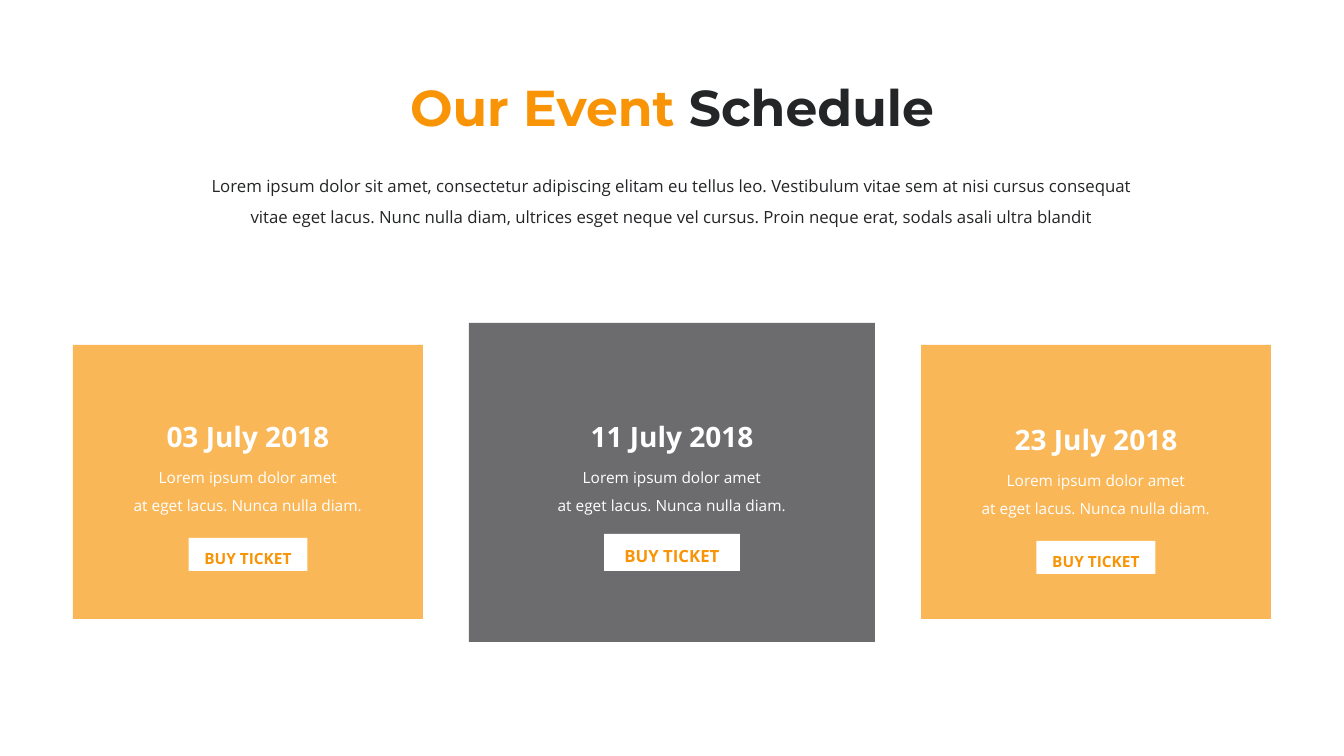
from dataclasses import dataclass

from lxml.etree import SubElement
from pptx import Presentation
from pptx.dml.color import RGBColor
from pptx.enum.shapes import MSO_SHAPE
from pptx.enum.text import MSO_ANCHOR, MSO_AUTO_SIZE, PP_ALIGN
from pptx.oxml.ns import qn
from pptx.util import Emu, Pt

EMU_PER_PIXEL = 914400 / 100.8


@dataclass(frozen=True)
class Theme:
    orange: str = "F89406"
    dark: str = "242527"
    white: str = "FFFFFF"
    heading_font: str = "Montserrat"
    text_font: str = "Open Sans"
    title_size: int = 36
    date_size: int = 20
    intro_size: int = 12
    detail_size: int = 11
    panel_opacity: int = 67


@dataclass(frozen=True)
class Event:
    date: str
    center: int
    panel_top: int
    panel_size: tuple
    panel_color: str
    date_top: int
    button_top: int
    button_size: tuple
    button_text_size: int


THEME = Theme()
DETAILS = ["Lorem ipsum dolor amet", "at eget lacus. Nunca nulla diam."]
INTRO = (
    "Lorem ipsum dolor sit amet, consectetur adipiscing elitam eu tellus leo. "
    "Vestibulum vitae sem at nisi cursus consequat vitae eget lacus. "
    "Nunc nulla diam, ultrices esget neque vel cursus. "
    "Proin neque erat, sodals asali ultra blandit"
)
EVENTS = [
    Event("03 July 2018", 248, 345, (350, 274), THEME.orange, 398, 538, (119, 33), 11),
    Event("11 July 2018", 672, 323, (406, 319), THEME.dark, 398, 534, (136, 37), 12),
    Event("23 July 2018", 1096, 345, (350, 274), THEME.orange, 401, 541, (119, 33), 11),
]


def px(value):
    return Emu(round(value * EMU_PER_PIXEL))


def centered(center, top, width, height):
    return [px(value) for value in (center - width / 2, top, width, height)]


def move(shape, frame):
    shape.left, shape.top, shape.width, shape.height = frame


def write(box, lines, size, color, font=THEME.text_font, bold=False, spacing=1.5):
    frame = box.text_frame
    frame.word_wrap = True
    frame.auto_size = MSO_AUTO_SIZE.NONE
    frame.vertical_anchor = MSO_ANCHOR.TOP
    for index, line in enumerate(lines):
        para = frame.paragraphs[0] if index == 0 else frame.add_paragraph()
        para.alignment = PP_ALIGN.CENTER
        para.line_spacing = spacing
        para.space_before = Pt(0)
        parts = [(line, color)] if isinstance(line, str) else line
        for text, part_color in parts:
            span = para.add_run()
            span.text = text
            span.font.name = font
            span.font.size = Pt(size)
            span.font.bold = bold
            span.font.color.rgb = RGBColor.from_string(part_color)


def add_text(shapes, frame, lines, size, color, **text_format):
    box = shapes.add_textbox(*frame)
    write(box, lines, size, color, **text_format)


def add_rectangle(shapes, frame, color, opacity=100):
    shape = shapes.add_shape(MSO_SHAPE.RECTANGLE, *frame)
    shape.shadow.inherit = False
    shape.line.fill.background()
    shape.fill.solid()
    shape.fill.fore_color.rgb = RGBColor.from_string(color)
    if opacity < 100:
        color_node = shape.fill._xPr.find(qn("a:solidFill"))[0]
        SubElement(color_node, qn("a:alpha")).set("val", str(opacity * 1000))


def remove_bullets(box):
    for para in box.text_frame.paragraphs:
        properties = para._p.get_or_add_pPr()
        properties.set("marL", "0")
        properties.set("indent", "0")
        SubElement(properties, qn("a:buNone"))


def add_heading(slide):
    title = slide.shapes.title
    move(title, centered(672, 71, 560, 72))
    parts = [("Our Event", THEME.orange), (" Schedule", THEME.dark)]
    write(title, [parts], THEME.title_size, THEME.dark,
          font=THEME.heading_font, bold=True, spacing=1.0)
    intro = slide.placeholders[1]
    move(intro, centered(672, 161, 966, 72))
    write(intro, [INTRO], THEME.intro_size, THEME.dark)
    remove_bullets(intro)


def add_event(slide, event):
    add_rectangle(slide.shapes, centered(event.center, event.panel_top, *event.panel_size),
                  event.panel_color, THEME.panel_opacity)
    shapes = slide.shapes.add_group_shape().shapes
    add_text(shapes, centered(event.center, event.date_top, 290, 58),
             [event.date], THEME.date_size, THEME.white, bold=True)
    add_text(shapes, centered(event.center, event.date_top + 56, 264, 68),
             DETAILS, THEME.detail_size, THEME.white)
    add_rectangle(shapes, centered(event.center, event.button_top, *event.button_size),
                  THEME.white)
    add_text(shapes, centered(event.center, event.button_top - 3, event.button_size[0], 38),
             ["BUY TICKET"], event.button_text_size, THEME.orange, bold=True)


def main():
    deck = Presentation()
    deck.slide_width, deck.slide_height = px(1344), px(756)
    slide = deck.slides.add_slide(deck.slide_layouts[1])
    add_heading(slide)
    for event in EVENTS:
        add_event(slide, event)
    deck.save("out.pptx")


main()
